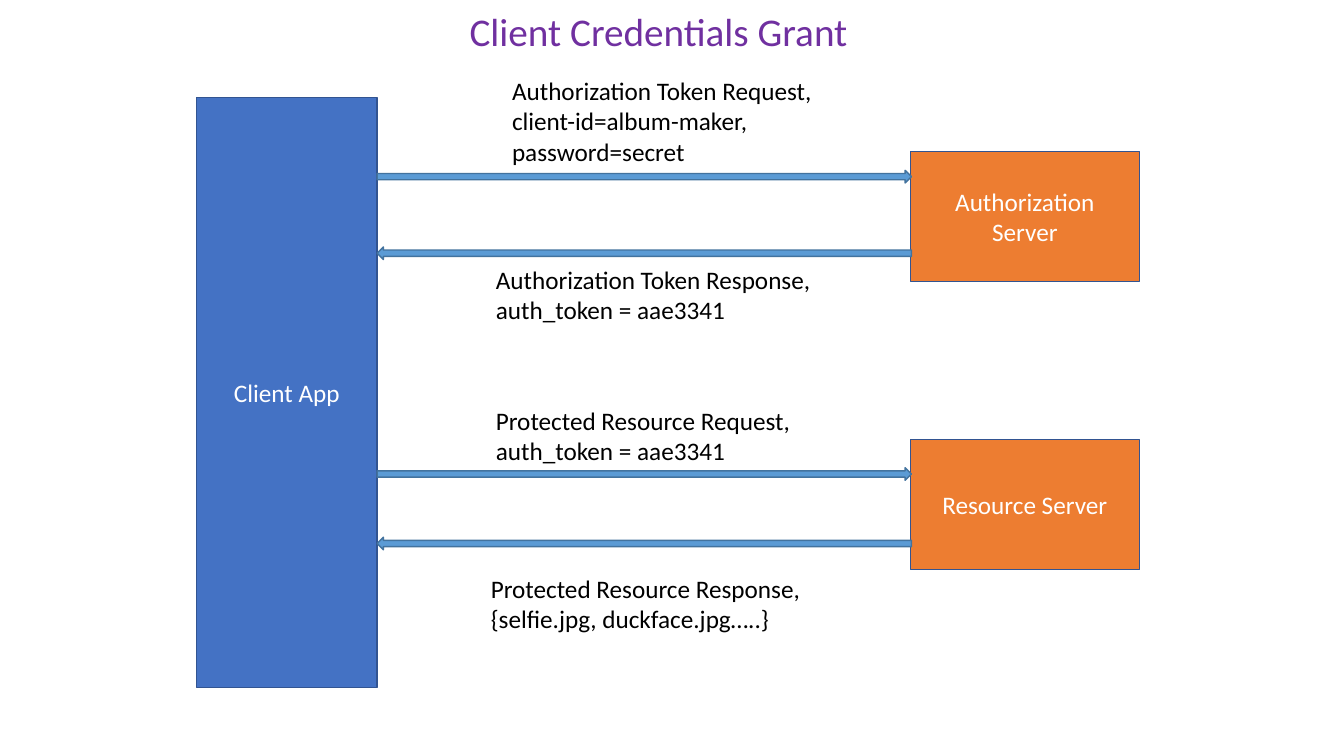
from dataclasses import dataclass

from pptx import Presentation
from pptx.dml.color import RGBColor
from pptx.enum.shapes import MSO_SHAPE as Preset
from pptx.enum.text import MSO_ANCHOR as Anchor, MSO_AUTO_SIZE as AutoSize, PP_ALIGN as Align
from pptx.util import Inches, Pt


@dataclass(frozen=True)
class Theme:
    font: str = "Calibri"
    title_size: int = 28
    body_size: int = 18
    line_width: int = 1
    title: str = "7030A0"
    body: str = "000000"
    inverse: str = "FFFFFF"
    client: str = "4472C4"
    server: str = "ED7D31"
    box_line: str = "325491"
    arrow: str = "5B9BD5"
    arrow_line: str = "43739E"


def apply(target, formats):
    for name, value in formats.items():
        setattr(target, name, value)


class FlowSlide:
    columns, rows = 133.3, 75

    def __init__(self, deck, theme):
        self.theme = theme
        self.column = deck.slide_width / self.columns
        self.row = deck.slide_height / self.rows
        self.page = deck.slides.add_slide(deck.slide_layouts[6])

    def place(self, left, top, width, height):
        return (round(left * self.column), round(top * self.row),
                round(width * self.column), round(height * self.row))

    def fill_text(self, shape, lines, size, color, align=Align.LEFT):
        frame = shape.text_frame
        frame.text = "\n".join(lines)
        for para in frame.paragraphs:
            para.alignment = align
            for span in para.runs:
                apply(span.font, {"name": self.theme.font, "size": Pt(size)})
                span.font.color.rgb = RGBColor.from_string(color)

    def shape(self, preset, area, fill, line):
        shape = self.page.shapes.add_shape(preset, *self.place(*area))
        shape.shadow.inherit = False
        shape.fill.solid()
        shape.fill.fore_color.rgb = RGBColor.from_string(fill)
        shape.line.color.rgb = RGBColor.from_string(line)
        shape.line.width = Pt(self.theme.line_width)
        return shape

    def party(self, name, area, fill):
        box = self.shape(Preset.RECTANGLE, area, fill, self.theme.box_line)
        apply(box.text_frame, {"word_wrap": True, "vertical_anchor": Anchor.MIDDLE})
        self.fill_text(box, [name], self.theme.body_size, self.theme.inverse, Align.CENTER)

    def arrow(self, preset, area):
        self.shape(preset, area, self.theme.arrow, self.theme.arrow_line)

    def text(self, lines, area, size, color):
        box = self.page.shapes.add_textbox(*self.place(*area))
        apply(box.text_frame, {"word_wrap": True, "auto_size": AutoSize.SHAPE_TO_FIT_TEXT})
        self.fill_text(box, lines, size, color)

    def title(self, words, area):
        self.text([words], area, self.theme.title_size, self.theme.title)

    def message(self, lines, area):
        self.text(lines, area, self.theme.body_size, self.theme.body)


def main():
    deck = Presentation()
    apply(deck, {"slide_width": Inches(13.33), "slide_height": Inches(7.5)})
    theme = Theme()
    flow = FlowSlide(deck, theme)

    client_left, client_width, server_left = 19.5, 17.9, 90.3
    client_right = client_left + client_width
    flow.party("Client App", (client_left, 9.7, client_width, 58.5), theme.client)
    for name, top in (("Authorization Server", 15), ("Resource Server", 43.6)):
        flow.party(name, (server_left, top, 22.7, 12.9), theme.server)

    for preset, top in (
        (Preset.LEFT_ARROW, 24.5),
        (Preset.RIGHT_ARROW, 16.9),
        (Preset.LEFT_ARROW, 53.3),
        (Preset.RIGHT_ARROW, 46.4),
    ):
        flow.arrow(preset, (client_right, top, server_left - client_right + 0.1, 1.25))

    token = "auth_token = aae3341"
    for heading, detail, area in (
        ("Authorization Token Request,", "client-id=album-maker, password=secret",
         (49.8, 7, 33.2, 10.1)),
        ("Authorization Token Response,", token, (48.2, 25.7, 35.3, 7.1)),
        ("Protected Resource Request,", token, (48.2, 39.7, 35.3, 7.1)),
        ("Protected Resource Response,", "{selfie.jpg, duckface.jpg…..}",
         (47.7, 56.4, 35.3, 7.1)),
    ):
        flow.message([heading, detail], area)

    flow.title("Client Credentials Grant", (45.6, 0.2, 42.2, 5.7))
    deck.save("out.pptx")


if __name__ == "__main__":
    main()
